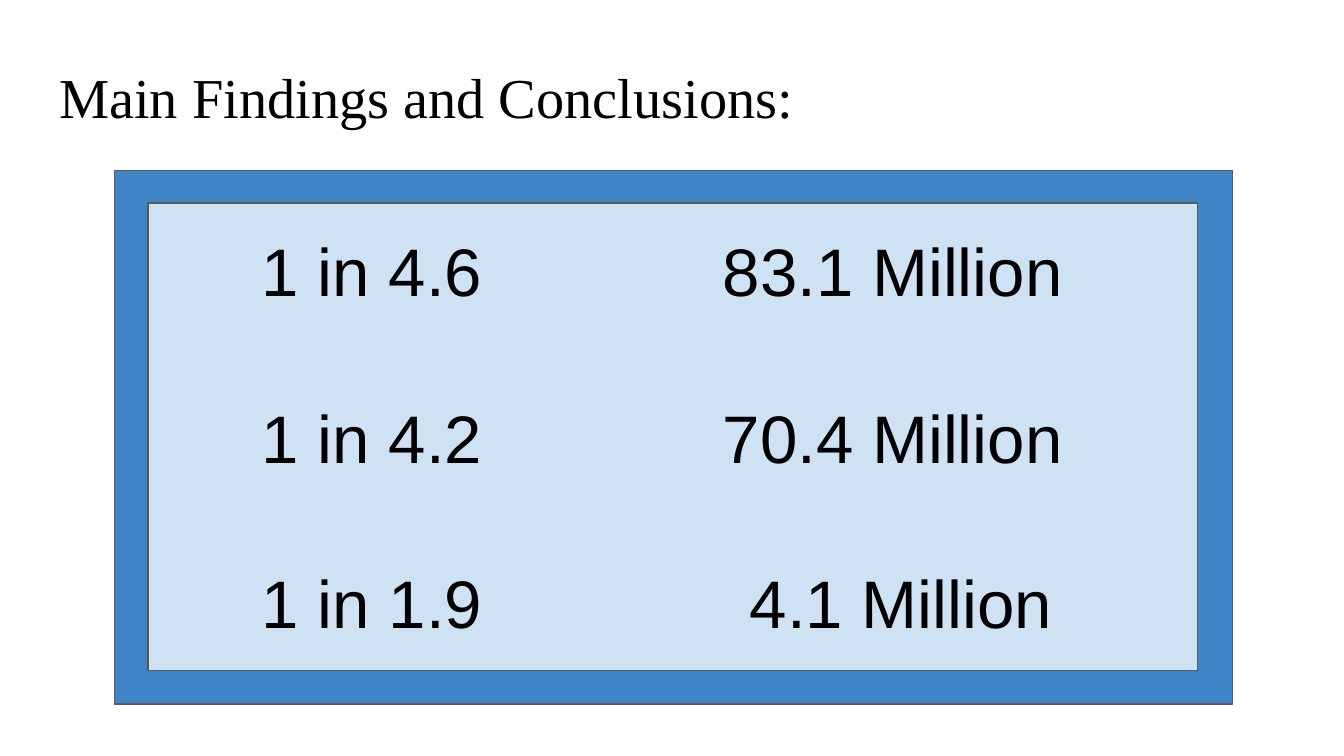
from dataclasses import dataclass

from pptx import Presentation
from pptx.dml.color import RGBColor as Rgb
from pptx.enum.shapes import MSO_SHAPE as Kind
from pptx.enum.text import MSO_ANCHOR as Anchor, MSO_AUTO_SIZE as Fit, PP_ALIGN as Align
from pptx.shapes.base import BaseShape as Shape
from pptx.slide import Slide
from pptx.util import Inches, Pt


@dataclass(frozen=True)
class Theme:
    ink: Rgb = Rgb(0x00, 0x00, 0x00)
    edge: Rgb = Rgb(0x59, 0x59, 0x59)
    frame: Rgb = Rgb(0x3D, 0x85, 0xC6)
    panel: Rgb = Rgb(0xCF, 0xE2, 0xF3)
    serif: str = "Times New Roman"
    sans: str = "Arial"
    head: float = 30.2
    stat: float = 36
    rule: float = 0.75


@dataclass(frozen=True)
class Box:
    left: float
    top: float
    width: float
    height: float


@dataclass(frozen=True)
class Stat:
    odds: str
    count: str
    top: float
    left: float = 5.28
    width: float = 2.85


THEME = Theme()
STATS = (
    Stat("1 in 4.6", "83.1 Million", 1.61),
    Stat("1 in 4.2", "70.4 Million", 2.85),
    Stat("1 in 1.9", "4.1 Million", 4.08, 5.48, 2.46),
)


def place(shape: Shape, box: Box) -> None:
    shape.left, shape.top = Inches(box.left), Inches(box.top)
    shape.width, shape.height = Inches(box.width), Inches(box.height)


def write(shape: Shape, text: str, face: str, size: float) -> None:
    frame = shape.text_frame
    frame.word_wrap = True
    frame.auto_size = Fit.NONE
    frame.vertical_anchor = Anchor.TOP
    frame.margin_left = frame.margin_right = Inches(0.1)
    frame.margin_top = frame.margin_bottom = Inches(0.1)
    para = frame.paragraphs[0]
    para.alignment = Align.LEFT
    run = para.add_run()
    run.text = text
    run.font.name = face
    run.font.size = Pt(size)
    run.font.color.rgb = THEME.ink


def panel(slide: Slide, box: Box, fill: Rgb) -> None:
    shape = slide.shapes.add_shape(Kind.RECTANGLE, 0, 0, 0, 0)
    place(shape, box)
    shape.shadow.inherit = False
    shape.fill.solid()
    shape.fill.fore_color.rgb = fill
    shape.line.color.rgb = THEME.edge
    shape.line.width = Pt(THEME.rule)


def label(slide: Slide, box: Box, text: str) -> None:
    shape = slide.shapes.add_textbox(0, 0, 0, 0)
    place(shape, box)
    write(shape, text, THEME.sans, THEME.stat)


def main() -> None:
    deck = Presentation()
    deck.slide_width = Inches(10)
    deck.slide_height = deck.slide_width * 9 // 16
    slide = deck.slides.add_slide(deck.slide_layouts[5])
    title = slide.shapes.title
    place(title, Box(0.34, 0.36, 5.73, 0.63))
    write(title, "Main Findings and Conclusions:", THEME.serif, THEME.head)
    panel(slide, Box(0.85, 1.27, 8.32, 3.97), THEME.frame)
    panel(slide, Box(1.1, 1.51, 7.81, 3.48), THEME.panel)
    for stat in STATS:
        label(slide, Box(stat.left, stat.top, stat.width, 0.81), stat.count)
    for stat in STATS:
        label(slide, Box(1.85, stat.top, 1.96, 0.81), stat.odds)
    deck.save("out.pptx")


if __name__ == "__main__":
    main()
